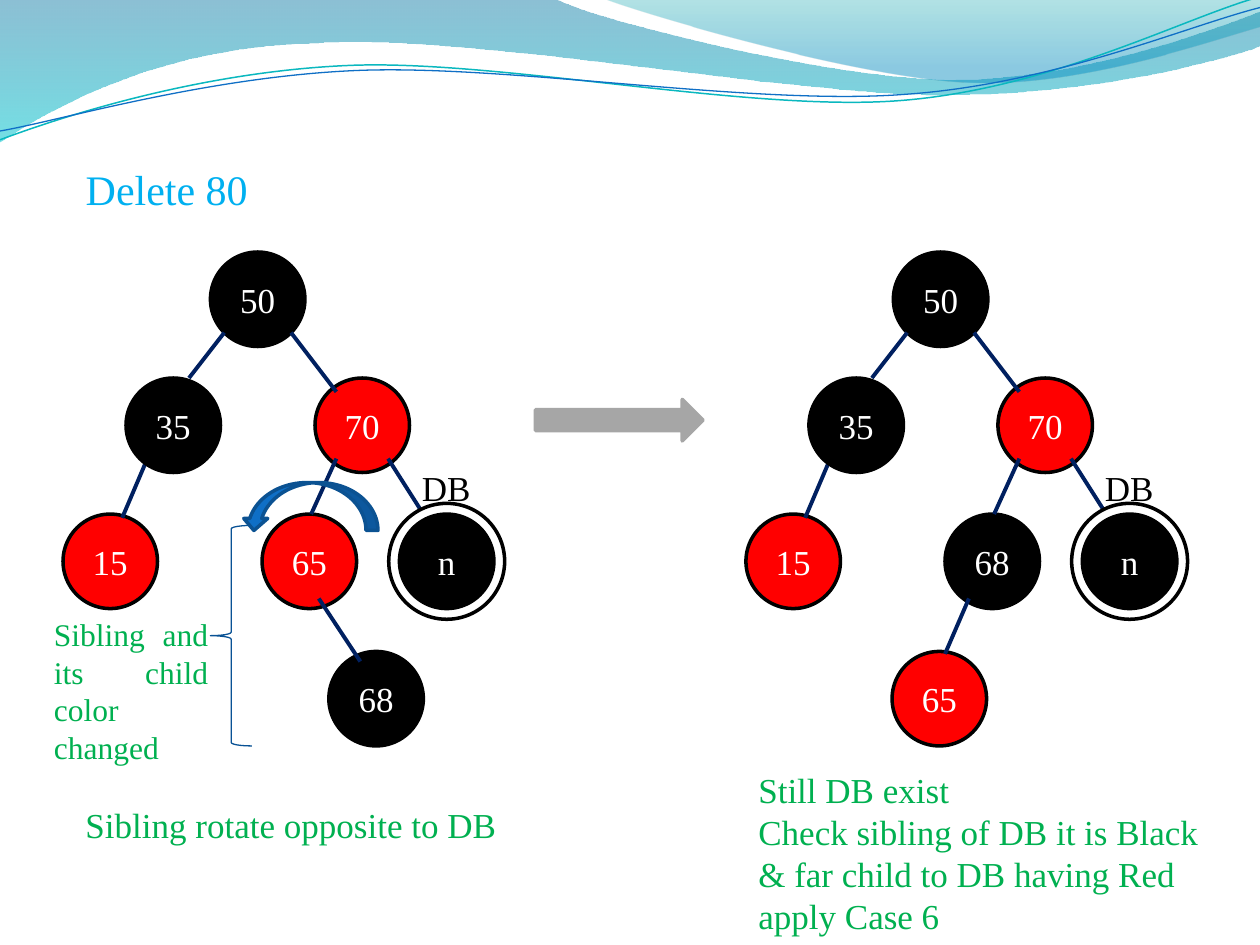
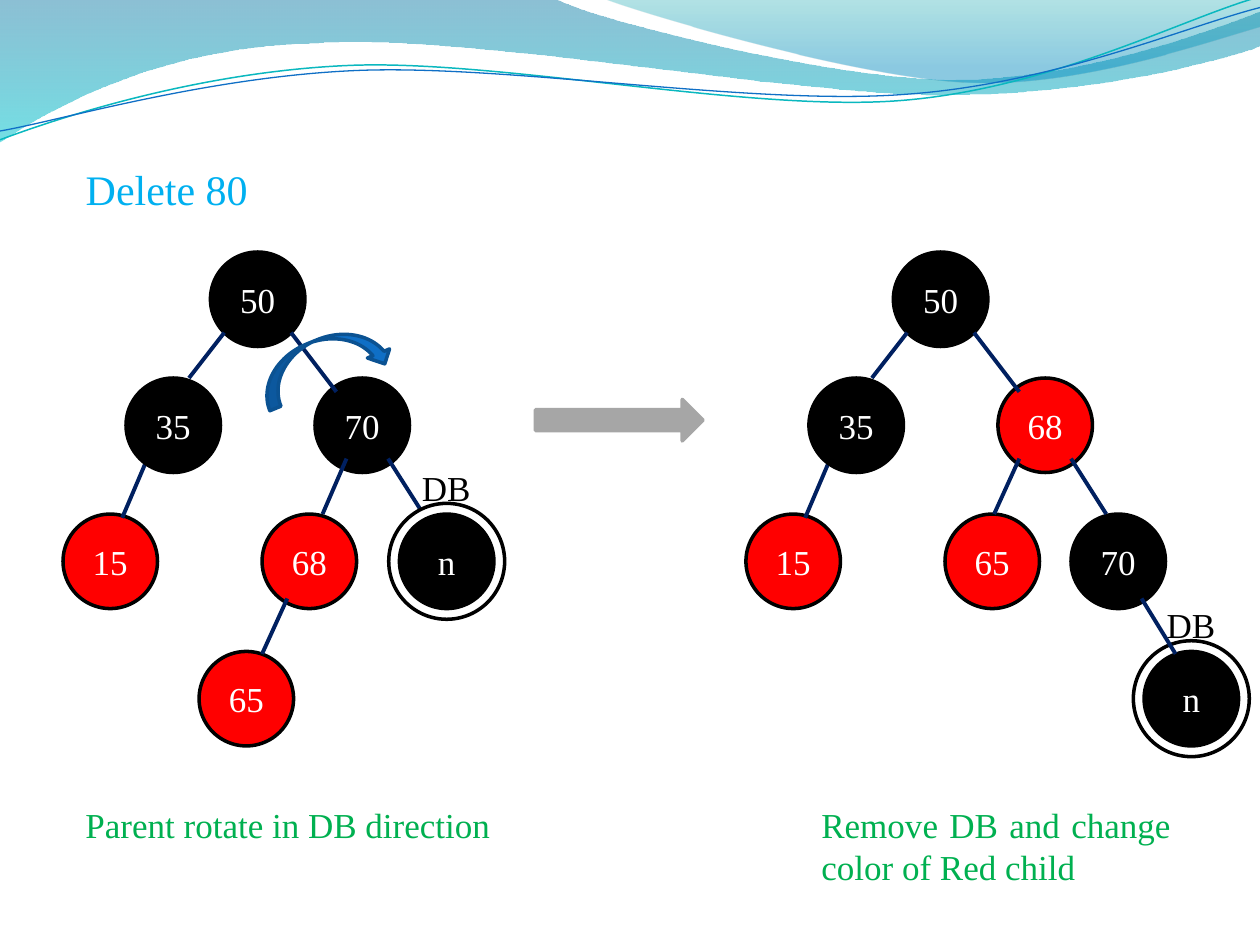
import pptx
import pptx.dml.color
import pptx.enum.dml
import pptx.enum.shapes
import pptx.enum.text
import pptx.oxml.ns
import pptx.util
from lxml import etree
from pptx.util import Inches

RGBColor = pptx.dml.color.RGBColor
SHAPE = pptx.enum.shapes.MSO_SHAPE
ALIGN = pptx.enum.text.PP_ALIGN
ANCHOR = pptx.enum.text.MSO_ANCHOR
qn = pptx.oxml.ns.qn

BLACK = RGBColor(0x00, 0x00, 0x00)
WHITE = RGBColor(0xFF, 0xFF, 0xFF)
RED = RGBColor(0xFF, 0x00, 0x00)
GREEN = RGBColor(0x00, 0xB0, 0x50)
SKY = RGBColor(0x00, 0xB0, 0xF0)
NAVY = RGBColor(0x00, 0x20, 0x60)
GREY = RGBColor(0xA6, 0xA6, 0xA6)
BLUE = RGBColor(0x0F, 0x6F, 0xC6)
TURN_EDGE = RGBColor(0x0B, 0x52, 0x92)
BRACE = RGBColor(0x09, 0x52, 0x95)
TEAL = RGBColor(0x0A, 0xB8, 0xBF)
WAVE_TOP = RGBColor(0x00, 0x74, 0xA1)
WAVE_BOTTOM = RGBColor(0x00, 0xC6, 0xCF)
CREST_TOP = RGBColor(0x00, 0xA1, 0xA9)
CREST_BOTTOM = RGBColor(0x00, 0x8B, 0xBF)
FONT = "Times New Roman"
NODE = 0.75
RING = 0.92
UNITS = 1000
LEFT_TREE, RIGHT_TREE, TREE_TOP = 0.5, 5.92, 2

ROOT, LEFT, RIGHT = (1.17, 0), (0.5, 1), (2, 1)
OUTER, INNER, FAR = (0, 2.08), (1.58, 2.08), (2.67, 2.08)
TREE_EDGES = [
    (1.81, 0.64, 2.17, 1.11),
    (1.28, 0.64, 1, 1),
    (0.67, 1.64, 0.47, 2.11),
    (2.58, 1.64, 2.86, 2.08),
]
INNER_EDGE = (2.17, 1.64, 1.97, 2.08)

WAVE = [(0, 0), (4.4, -0.01),
        (4.76, 0.17, 6.64, 0.63, 7.58, 0.63), (8.53, 0.63, 9.58, 0.26, 10, 0.09),
        (10.01, 0.36),
        (9.83, 0.44, 8.7, 0.76, 7.46, 0.75), (6.22, 0.75, 3.82, 0.28, 2.57, 0.34),
        (1.29, 0.36, 0.46, 0.83, -0.01, 1.13)]
CREST = [(4.79, -0.01),
         (5.09, 0.11, 6.82, 0.62, 7.69, 0.65), (8.56, 0.69, 9.61, 0.32, 10, 0.21),
         (10, 0)]
TEAL_LINE = [(0, 1.11),
             (0.48, 0.93, 1.58, 0.57, 2.77, 0.52), (3.95, 0.47, 5.93, 0.89, 7.13, 0.8),
             (8.33, 0.71, 9.38, 0.15, 9.98, -0.02)]
BLUE_LINE = [(0, 1.04),
             (0.47, 0.96, 1.64, 0.61, 2.83, 0.56), (4.03, 0.51, 5.97, 0.84, 7.17, 0.75),
             (8.36, 0.67, 9.41, 0.21, 10, 0.06)]


def add_curve(page, segments, closed):
    """Draw an outline of straight and cubic segments without a shadow."""
    scaled = [[round(value * UNITS) for value in segment] for segment in segments]
    corners = [segment[-2:] for segment in scaled]
    builder = page.shapes.build_freeform(*corners[0], scale=Inches(1) / UNITS)
    builder.add_line_segments(corners[1:], close=closed)
    curve = builder.convert_to_shape()
    curve.shadow.inherit = False
    left, top = (min(values) for values in zip(*corners))
    steps = list(curve.element.spPr.iter(qn("a:lnTo")))
    for step, segment in zip(steps, scaled[1:]):
        if len(segment) == 6:
            bend = etree.Element(qn("a:cubicBezTo"))
            for x, y in zip(segment[::2], segment[1::2]):
                point = etree.SubElement(bend, qn("a:pt"))
                point.set("x", str(x - left))
                point.set("y", str(y - top))
            step.getparent().replace(step, bend)
    return curve


def add_band(page, segments, stops):
    """Draw a closed band with a translucent vertical gradient."""
    band = add_curve(page, segments, True)
    band.line.fill.background()
    band.fill.gradient()
    band.fill.gradient_angle = 270
    for stop, (position, color, _) in zip(band.fill.gradient_stops, stops):
        stop.position = position
        stop.color.rgb = color
    for node, (_, _, opacity) in zip(band.element.spPr.iter(qn("a:srgbClr")), stops):
        etree.SubElement(node, qn("a:alpha")).set("val", str(opacity * 1000))


def add_header(page):
    """Draw the waves along the top of the page."""
    add_band(page, WAVE, [(0, WAVE_TOP, 45), (1, WAVE_BOTTOM, 55)])
    add_band(page, CREST, [(0, CREST_TOP, 30), (0.8, CREST_BOTTOM, 45)])
    for segments, color, width in ((TEAL_LINE, TEAL, 0.85), (BLUE_LINE, BLUE, 0.75)):
        curve = add_curve(page, segments, False)
        curve.fill.background()
        curve.line.color.rgb = color
        curve.line.width = pptx.util.Pt(width)


def write(shape, text, size, color, align=ALIGN.LEFT, wrap=True):
    """Fill a shape with text in the shared font."""
    frame = shape.text_frame
    frame.text = text
    frame.word_wrap = wrap
    for para in frame.paragraphs:
        para.alignment = align
        for span in para.runs:
            span.font.name = FONT
            span.font.size = pptx.util.Pt(size)
            span.font.color.rgb = color


def add_text(page, box, text, size=20, color=GREEN, align=ALIGN.JUSTIFY, wrap=True):
    """Add a text box."""
    label = page.shapes.add_textbox(*map(Inches, box))
    write(label, text, size, color, align, wrap)


def add_figure(page, kind, box, fill, line, width=2):
    """Add a preset shape, left hollow when fill is None."""
    figure = page.shapes.add_shape(kind, *map(Inches, box))
    figure.shadow.inherit = False
    if fill is None:
        figure.fill.background()
    else:
        figure.fill.solid()
        figure.fill.fore_color.rgb = fill
    figure.line.color.rgb = line
    figure.line.width = pptx.util.Pt(width)
    return figure


def add_node(page, left, top, key, color):
    """Add one tree node."""
    node = add_figure(page, SHAPE.OVAL, (left, top, NODE, NODE), color, BLACK)
    write(node, key, 20, WHITE, ALIGN.CENTER)
    node.text_frame.vertical_anchor = ANCHOR.MIDDLE


def add_double_black(page, left, top):
    """Add the ringed null node with its DB label."""
    inset = (RING - NODE) / 2
    add_figure(page, SHAPE.OVAL, (left - inset, top - inset, RING, RING), WHITE, BLACK)
    add_node(page, left, top, "n", BLACK)
    add_text(page, (left + 0.08, top - 0.43, 0.59, 0.44), "DB", 20, BLACK, ALIGN.LEFT, False)


def add_edge(page, left, top, ends):
    """Join two nodes with a line."""
    x1, y1, x2, y2 = ends
    edge = page.shapes.add_connector(
        pptx.enum.shapes.MSO_CONNECTOR.STRAIGHT,
        Inches(left + x1), Inches(top + y1), Inches(left + x2), Inches(top + y2))
    edge.line.color.rgb = NAVY
    edge.line.width = pptx.util.Pt(2.25)
    etree.SubElement(edge.element.spPr, qn("a:effectLst"))


def add_tree(page, left, nodes, last_edge, double_black=FAR, inner_edge=INNER_EDGE):
    """Draw a tree: the nodes 50, 35 and 15 are in every one."""
    top = TREE_TOP
    for (x, y), key, color in [(ROOT, "50", BLACK), (OUTER, "15", RED)] + nodes:
        add_node(page, left + x, top + y, key, color)
    for ends in TREE_EDGES + [inner_edge]:
        add_edge(page, left, top, ends)
    add_node(page, left + LEFT[0], top + LEFT[1], "35", BLACK)
    add_double_black(page, left + double_black[0], top + double_black[1])
    add_edge(page, left, top, last_edge)


def add_turn(page, box):
    """Add a curved arrow showing a rotation."""
    return add_figure(page, SHAPE.CURVED_DOWN_ARROW, box, BLUE, TURN_EDGE)


def add_page(deck):
    """Start a page with the header, title and step arrow."""
    page = deck.slides.add_slide(deck.slide_layouts[5])
    add_header(page)
    title = page.shapes.title
    title.left, title.top, title.width, title.height = map(Inches, (0.58, 1.25, 1.5, 0.5))
    write(title, "Delete 80", 24, SKY, wrap=False)
    title.text_frame.auto_size = pptx.enum.text.MSO_AUTO_SIZE.NONE
    title.text_frame.vertical_anchor = ANCHOR.TOP
    add_figure(page, SHAPE.RIGHT_ARROW, (4.25, 3.17, 1.33, 0.33), GREY, GREY)
    return page


def add_sibling_page(deck):
    """Show the sibling rotating away from DB."""
    page = add_page(deck)
    add_tree(page, LEFT_TREE,
             [(RIGHT, "70", RED), (INNER, "65", RED), ((2.11, 3.17), "68", BLACK)],
             (2.03, 2.75, 2.36, 3.25))
    add_tree(page, RIGHT_TREE,
             [(RIGHT, "70", RED), (INNER, "68", BLACK), ((1.16, 3.17), "65", RED)],
             (1.77, 2.75, 1.58, 3.19))
    add_text(page, (0.58, 6.33, 3.48, 0.44), "Sibling rotate opposite to DB", wrap=False)
    add_figure(page, SHAPE.LEFT_BRACE, (1.67, 4.17, 0.33, 1.75), None, BRACE, 0.75)
    add_text(page, (0.33, 4.83, 1.42, 1.31), "Sibling and its child color changed", 18)
    turn = add_turn(page, (1.92, 3.83, 1.08, 0.38))
    turn.element.spPr.find(qn("a:xfrm")).set("flipH", "1")
    add_text(page, (5.92, 6.05, 3.72, 1.45),
             "Still DB exist\nCheck sibling of DB it is Black & far child to DB "
             "having Red apply Case 6", align=ALIGN.LEFT)


def add_parent_page(deck):
    """Show the parent rotating towards DB."""
    page = add_page(deck)
    add_tree(page, LEFT_TREE,
             [(RIGHT, "70", BLACK), (INNER, "68", RED), ((1.08, 3.17), "65", RED)],
             (1.78, 2.75, 1.58, 3.19), inner_edge=(2.25, 1.64, 2.06, 2.08))
    add_tree(page, RIGHT_TREE,
             [(RIGHT, "68", RED), (INNER, "65", RED), ((2.58, 2.08), "70", BLACK)],
             (3.14, 2.75, 3.41, 3.19), double_black=(3.16, 3.17))
    add_text(page, (0.58, 6.33, 3.44, 0.44), "Parent rotate in DB direction", wrap=False)
    add_text(page, (6.42, 6.33, 2.97, 0.77), "Remove DB and change color of Red child")
    add_turn(page, (2.03, 2.69, 1.08, 0.38)).rotation = 337.8


def main():
    """Build and save the deck."""
    deck = pptx.Presentation()
    deck.slide_width, deck.slide_height = Inches(10), Inches(7.5)
    add_sibling_page(deck)
    add_parent_page(deck)
    deck.save("out.pptx")


if __name__ == "__main__":
    main()
